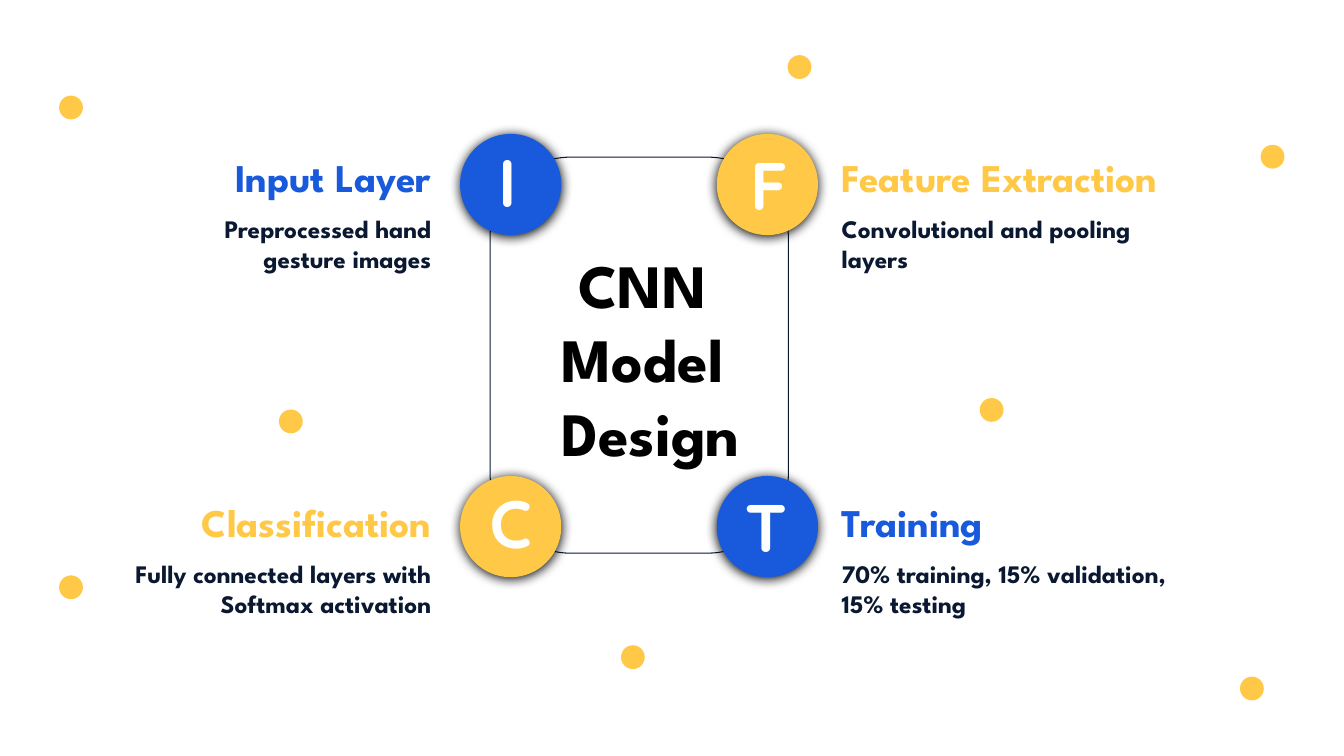
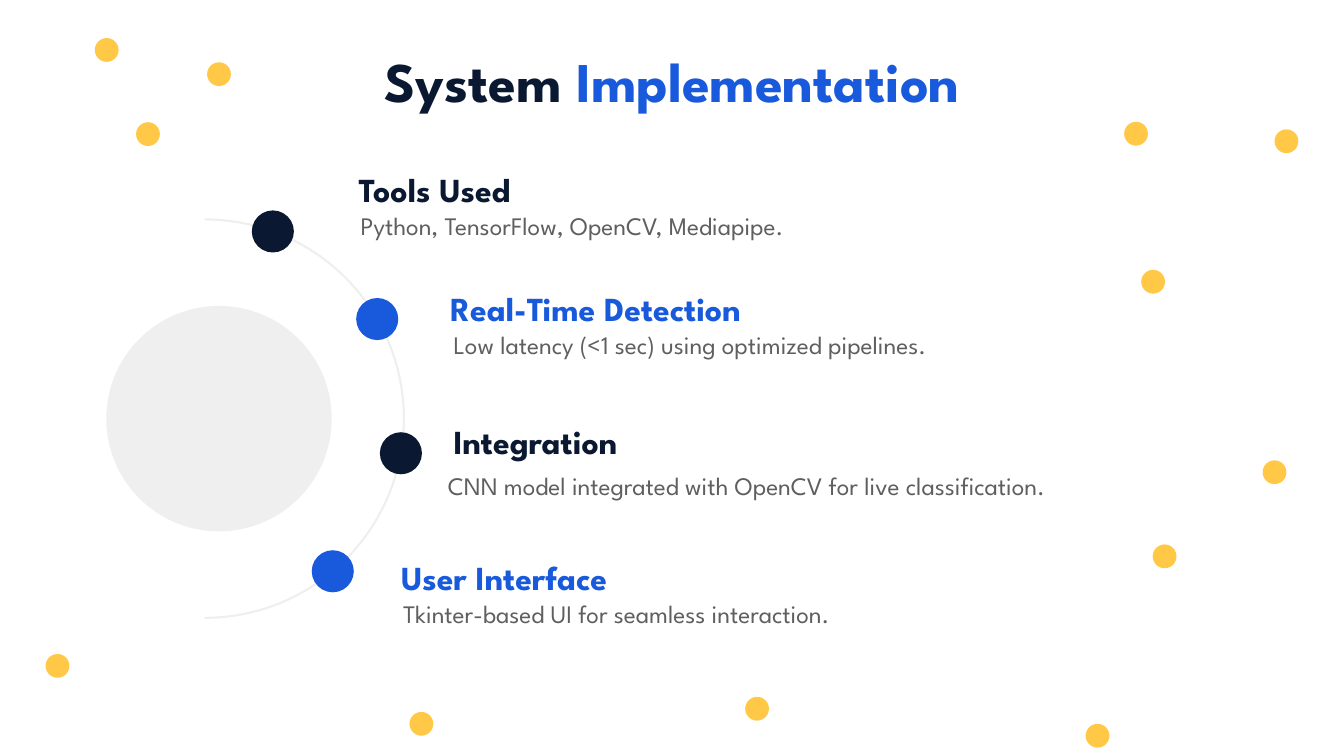
"""Build two slides: a CNN model design diagram and a system implementation arc."""
from dataclasses import dataclass
from math import cos, radians, sin

from lxml.etree import SubElement
from pptx import Presentation
from pptx.dml.color import RGBColor
from pptx.enum.shapes import MSO_SHAPE
from pptx.enum.text import MSO_AUTO_SIZE, PP_ALIGN
from pptx.oxml.ns import qn
from pptx.util import Cm, Pt


@dataclass(frozen=True)
class Theme:
    navy: str = "0A1931"
    blue: str = "185ADB"
    yellow: str = "FFC947"
    pale: str = "EFEFEF"
    grey: str = "5F5F5F"
    black: str = "000000"
    white: str = "FFFFFF"
    font: str = "League Spartan"
    letter_font: str = "Quicksand"
    title: int = 40
    center: int = 44
    letter: int = 48
    stage: int = 28
    step: int = 24
    body: int = 18


T = Theme()
LEFT, CENTER, RIGHT = PP_ALIGN.LEFT, PP_ALIGN.CENTER, PP_ALIGN.RIGHT
DOT = 0.6

DESIGN_DOTS = [(1.79, 2.71), (7.33, 10.62), (15.95, 16.56), (1.79, 14.8),
               (24.99, 10.33), (32.07, 3.95), (31.55, 17.35), (20.15, 1.69)]
SYSTEM_DOTS = [(5.52, 1.87), (2.69, 1.26), (3.73, 3.38), (10.62, 18.24),
               (1.45, 16.78), (19.08, 17.86), (32.12, 11.9), (29.35, 14.02),
               (29.06, 7.1), (28.63, 3.37), (32.42, 3.56), (27.66, 18.54)]

CENTER_LINES = ["CNN ", "Model ", "Design"]
FRAME = (12.35, 3.96, 7.52, 9.98)
BADGE = 2.55
BADGE_X, BADGE_Y = (12.87, 19.34), (4.65, 13.27)
TEXT_EDGE = (11.12, 20.96)
STAGE_Y = (3.73, 12.42)
STAGES = [
    dict(col=0, row=0, color=T.blue, letter="I", nudge=(-0.08, -0.09),
         head="Input Layer", head_w=6.25, body_w=7.42,
         body=["Preprocessed hand gesture images"]),
    dict(col=1, row=0, color=T.yellow, letter="F", nudge=(0.04, -0.01),
         head="Feature Extraction", head_w=9.63, body_w=8.31,
         body=["Convolutional and pooling layers"]),
    dict(col=0, row=1, color=T.yellow, letter="C", nudge=(0, -0.11),
         head="Classification", head_w=7.11, body_w=8.53,
         body=["Fully connected layers with Softmax activation"]),
    dict(col=1, row=1, color=T.blue, letter="T", nudge=(-0.04, -0.01),
         head="Training", head_w=4.7, body_w=11.33,
         body=["70% training, 15% validation,", "15% testing"]),
]

TITLE = [("System ", T.navy), ("Implementation", T.blue)]
HUB, HUB_SIZE = (5.52, 10.55), 5.68
ARC_X, ARC_R, NODE = 5.16, 5.02, 1.06
FIRST_ANGLE, ANGLE_STEP = -70, 40
STEPS = [
    ("Tools Used", (8.79, 4.14, 5.05),
     "Python, TensorFlow, OpenCV, Mediapipe.", (8.84, 5.18, 14.07)),
    ("Real-Time Detection", (11.1, 7.14, 9.12),
     "Low latency (<1 sec) using optimized pipelines.", (11.18, 8.18, 15.8)),
    ("Integration", (11.18, 10.49, 5.38),
     "CNN model integrated with OpenCV for live classification.", (11.04, 11.73, 22)),
    ("User Interface", (9.86, 13.92, 6.63),
     "Tkinter-based UI for seamless interaction.", (9.91, 14.96, 15.67)),
]


def add_shape(s, kind, box, fill=None, line=None, width=0.75):
    sp = s.shapes.add_shape(kind, *map(Cm, box))
    sp.shadow.inherit = False
    if fill:
        sp.fill.solid()
        sp.fill.fore_color.rgb = RGBColor.from_string(fill)
    else:
        sp.fill.background()
    if line:
        sp.line.color.rgb = RGBColor.from_string(line)
        sp.line.width = Pt(width)
    else:
        sp.line.fill.background()
    return sp


def add_circle(s, x, y, size, fill):
    return add_shape(s, MSO_SHAPE.OVAL, (x - size / 2, y - size / 2, size, size), fill)


def add_glow(sp):
    effects = sp._element.spPr.find(qn("a:effectLst"))
    shadow = SubElement(effects, qn("a:outerShdw"), blurRad=str(Pt(8.5)),
                        dist=str(Pt(1)), dir="5400000", algn="t", rotWithShape="0")
    SubElement(shadow, qn("a:srgbClr"), val=T.black)


def add_text(s, box, lines, size, color=T.navy, align=LEFT, bold=True,
             font=T.font, wrap=False):
    """Write lines, each a string or a list of (text, colour) runs."""
    tf = s.shapes.add_textbox(*map(Cm, box)).text_frame
    tf.word_wrap = wrap
    tf.auto_size = MSO_AUTO_SIZE.SHAPE_TO_FIT_TEXT
    for i, line in enumerate(lines):
        p = tf.add_paragraph() if i else tf.paragraphs[0]
        p.alignment = align
        for text, tint in [(line, color)] if isinstance(line, str) else line:
            r = p.add_run()
            r.text = text
            for name, value in dict(name=font, size=Pt(size), bold=bold).items():
                setattr(r.font, name, value)
            r.font.color.rgb = RGBColor.from_string(tint)


def add_slide(prs, dots):
    s = prs.slides.add_slide(prs.slide_layouts[6])
    for x, y in dots:
        add_circle(s, x, y, DOT, T.yellow)
    return s


def add_stage(s, col, row, color, letter, nudge, head, head_w, body_w, body):
    x, y = BADGE_X[col], BADGE_Y[row]
    add_glow(add_circle(s, x, y, BADGE, color))
    w, h = 1.6, 2.31
    add_text(s, (x + nudge[0] - w / 2, y + nudge[1] - h / 2, w, h), [letter],
             T.letter, T.white, CENTER, font=T.letter_font)
    align = LEFT if col else RIGHT
    edge, top = TEXT_EDGE[col], STAGE_Y[row]
    head_x, body_x = (edge if col else edge - width for width in (head_w, body_w))
    add_text(s, (head_x, top, head_w, 1.45), [head], T.stage, color, align)
    add_text(s, (body_x, top + 1.52, body_w, 1.8), body, T.body, align=align, wrap=True)


def build_design(prs):
    s = add_slide(prs, DESIGN_DOTS)
    frame = add_shape(s, MSO_SHAPE.ROUNDED_RECTANGLE, FRAME, line=T.navy)
    frame.adjustments[0] = 0.27
    for stage in STAGES:
        add_stage(s, **stage)
    add_text(s, (13.41, 6.1, 5.97, 5.89), CENTER_LINES, T.center, T.black, CENTER)


def build_system(prs):
    s = add_slide(prs, SYSTEM_DOTS)
    add_circle(s, *HUB, HUB_SIZE, T.pale)
    arc = add_shape(s, MSO_SHAPE.ARC, (ARC_X - ARC_R, HUB[1] - ARC_R, 2 * ARC_R, 2 * ARC_R),
                    line=T.pale, width=1.5)
    arc.adjustments[0], arc.adjustments[1] = 162.0, 54.0
    for i, (head, head_at, body, body_at) in enumerate(STEPS):
        color = (T.navy, T.blue)[i % 2]
        angle = radians(FIRST_ANGLE + i * ANGLE_STEP)
        add_circle(s, ARC_X + ARC_R * cos(angle), HUB[1] + ARC_R * sin(angle), NODE, color)
        add_text(s, (*head_at, 1.27), [head], T.step, color)
        add_text(s, (*body_at, 1.02), [body], T.body, T.grey, bold=False, wrap=True)
    add_text(s, (8.23, 1.04, 17.42, 1.96), [TITLE], T.title, align=CENTER)


def main():
    prs = Presentation()
    prs.slide_width, prs.slide_height = Cm(33.87), Cm(19.05)
    build_design(prs)
    build_system(prs)
    prs.save("out.pptx")


if __name__ == "__main__":
    main()
